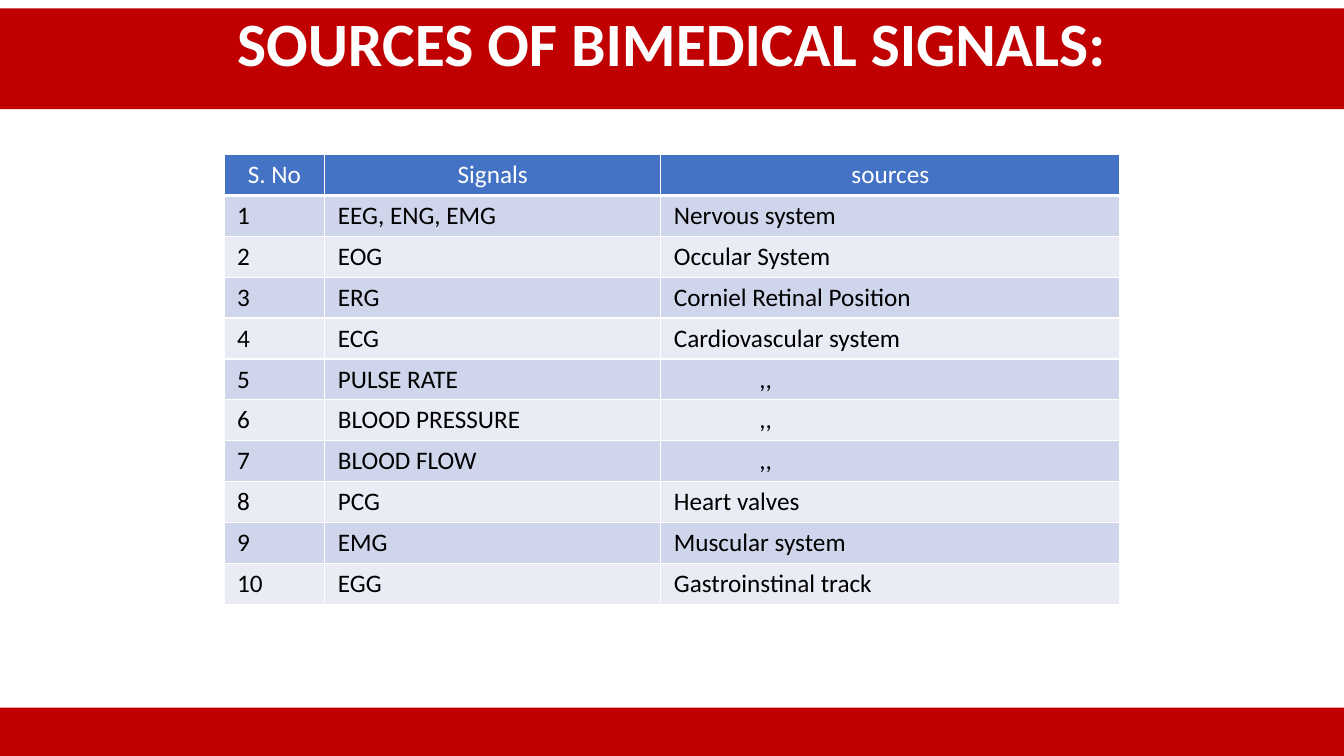
from lxml import etree
from pptx import Presentation
from pptx import util as u
from pptx.dml.color import RGBColor
from pptx.enum import shapes, text
from pptx.oxml import ns

Pt = u.Pt
RED = RGBColor(0xC0, 0x00, 0x00)
BLUE = RGBColor(0x44, 0x72, 0xC4)
BAND_DARK = RGBColor(0xCF, 0xD5, 0xEA)
BAND_LIGHT = RGBColor(0xE9, 0xEB, 0xF5)
WHITE = RGBColor(0xFF, 0xFF, 0xFF)
BLACK = RGBColor(0x00, 0x00, 0x00)

SLIDE_WIDTH, SLIDE_HEIGHT = 960, 540
COLUMN_WIDTHS = (72, 240, 328)
ROW_HEIGHT = 29.2
SIDE_MARGIN = 9.4
DITTO = ",,"
DITTO_INDENT = 61

HEADINGS = ("S. No", "Signals", "sources")
SIGNAL_SOURCES = (
    ("EEG, ENG, EMG", "Nervous system"),
    ("EOG", "Occular System"),
    ("ERG", "Corniel Retinal Position"),
    ("ECG", "Cardiovascular system"),
    ("PULSE RATE", DITTO),
    ("BLOOD PRESSURE", DITTO),
    ("BLOOD FLOW", DITTO),
    ("PCG", "Heart valves"),
    ("EMG", "Muscular system"),
    ("EGG", "Gastroinstinal track"),
)


def set_attributes(target, **values):
    for name, value in values.items():
        setattr(target, name, value)


def write(frame, words, size, color, bold=False, **para_format):
    para = frame.paragraphs[0]
    set_attributes(para, **para_format)
    span = para.add_run()
    span.text = words
    set_attributes(span.font, name="Calibri", size=Pt(size), bold=bold)
    span.font.color.rgb = color


def add_band(page, top, height):
    """Add a red bar across the full slide width."""
    band = page.shapes.add_shape(
        shapes.MSO_SHAPE.RECTANGLE, 0, Pt(top), Pt(SLIDE_WIDTH), Pt(height))
    band.shadow.inherit = False
    band.fill.solid()
    band.fill.fore_color.rgb = RED
    band.line.fill.background()
    return band


def add_borders(cell, bottom_width):
    """Draw white cell edges; call before the cell's fill is set."""
    properties = cell._tc.get_or_add_tcPr()
    for side, width in (("L", 1), ("R", 1), ("T", 1), ("B", bottom_width)):
        edge = etree.SubElement(properties, ns.qn(f"a:ln{side}"), w=str(Pt(width)))
        fill = etree.SubElement(edge, ns.qn("a:solidFill"))
        etree.SubElement(fill, ns.qn("a:srgbClr"), val=str(WHITE))


def fill_cell(cell, words, fill, color, align, bottom_width=1):
    add_borders(cell, bottom_width)
    cell.fill.solid()
    cell.fill.fore_color.rgb = fill
    indent = DITTO_INDENT if words == DITTO else 0
    set_attributes(cell, margin_left=Pt(SIDE_MARGIN + indent),
                   margin_right=Pt(SIDE_MARGIN),
                   margin_top=Pt(3.6), margin_bottom=Pt(3.6))
    write(cell.text_frame, words, 18, color, alignment=align)


def add_signal_table(page, top):
    row_count = len(SIGNAL_SOURCES) + 1
    width = sum(COLUMN_WIDTHS)
    table = page.shapes.add_table(
        row_count, len(COLUMN_WIDTHS), Pt((SLIDE_WIDTH - width) / 2), Pt(top),
        Pt(width), Pt(ROW_HEIGHT * row_count)).table
    table.horz_banding = False
    for column, column_width in zip(table.columns, COLUMN_WIDTHS):
        column.width = Pt(column_width)
    for row in table.rows:
        row.height = Pt(ROW_HEIGHT)

    for column, heading in enumerate(HEADINGS):
        fill_cell(table.cell(0, column), heading, BLUE, WHITE,
                  text.PP_ALIGN.CENTER, bottom_width=3)
    for number, entry in enumerate(SIGNAL_SOURCES, 1):
        fill = BAND_DARK if number % 2 else BAND_LIGHT
        for column, words in enumerate((str(number), *entry)):
            fill_cell(table.cell(number, column), words, fill, BLACK,
                      text.PP_ALIGN.LEFT)


def main():
    deck = Presentation()
    set_attributes(deck, slide_width=Pt(SLIDE_WIDTH), slide_height=Pt(SLIDE_HEIGHT))
    page = deck.slides.add_slide(deck.slide_layouts[6])

    add_signal_table(page, top=110.4)
    title = add_band(page, top=6, height=72).text_frame
    set_attributes(title, word_wrap=True, vertical_anchor=text.MSO_ANCHOR.TOP)
    write(title, "SOURCES OF BIMEDICAL SIGNALS:", 44, WHITE, bold=True,
          alignment=text.PP_ALIGN.CENTER, line_spacing=0.9)
    add_band(page, top=505.4, height=34.6)

    deck.save("out.pptx")


if __name__ == "__main__":
    main()
